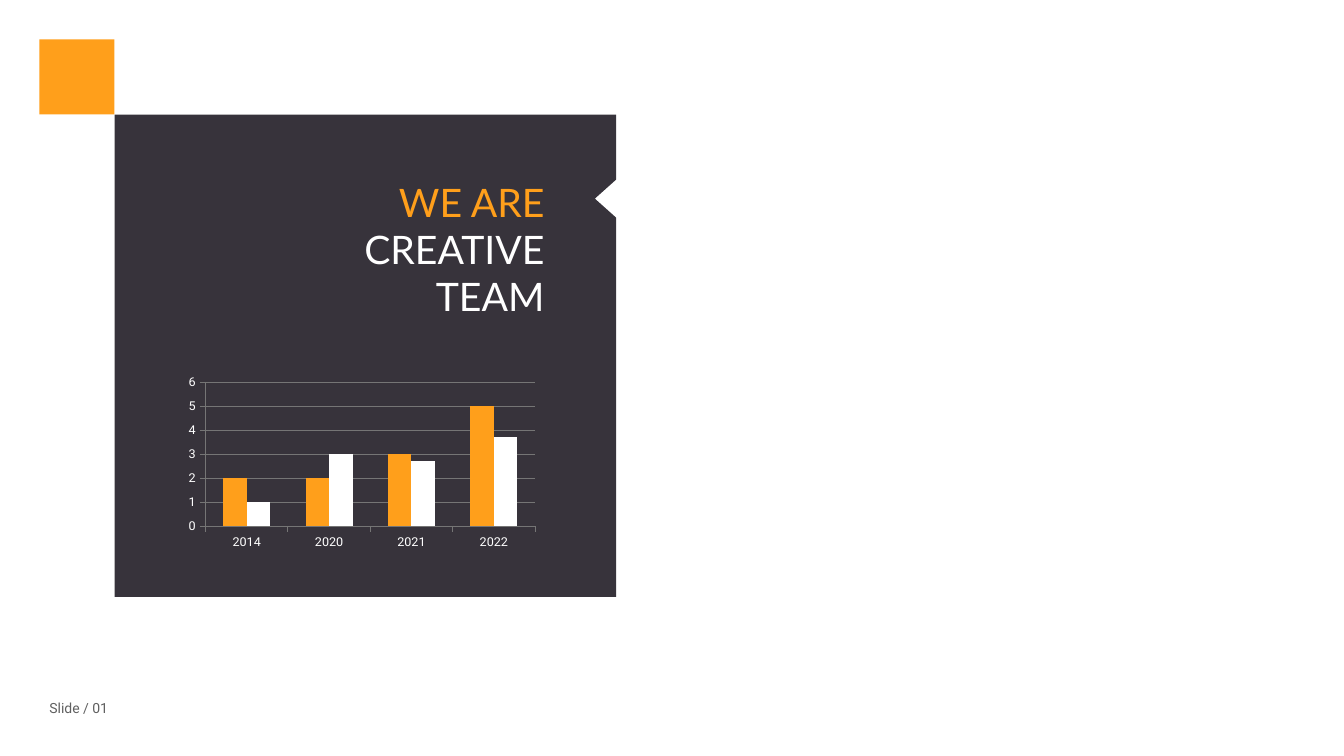
from lxml import etree
from pptx import Presentation
from pptx import util as u
from pptx.chart import data as chart_data
from pptx.dml import color
from pptx.enum import chart as charts, shapes, text

ORANGE, DARK, WHITE = "FF9F1B", "37333B", "FFFFFF"
GRID, GREY = "757575", "606060"
PLOT = {"x": 0.049, "y": 0.062, "w": 0.934, "h": 0.831}


def tint(value):
    return color.RGBColor.from_string(value)


def assign(target, formats):
    for name, value in formats.items():
        setattr(target, name, value)


def style_font(font, name, size, hue):
    assign(font, {"name": name, "size": u.Pt(size), "bold": False})
    font.color.rgb = tint(hue)


def style_line(line, hue):
    line.width = u.Pt(0.75)
    line.color.rgb = tint(hue)


def paint(shape, hue):
    shape.shadow.inherit = False
    shape.fill.solid()
    shape.fill.fore_color.rgb = tint(hue)
    shape.line.fill.background()


def place(shape, box):
    for name, value in zip(("left", "top", "width", "height"), box):
        setattr(shape, name, u.Pt(value))


def write_lines(box, lines, font, size, align):
    assign(box.text_frame, {
        "word_wrap": True,
        "auto_size": text.MSO_AUTO_SIZE.NONE,
        "vertical_anchor": text.MSO_ANCHOR.TOP,
        "margin_left": u.Pt(7.2), "margin_right": u.Pt(7.2),
        "margin_top": u.Pt(3.6), "margin_bottom": u.Pt(3.6),
    })
    for index, (words, hue) in enumerate(lines):
        para = box.text_frame.add_paragraph() if index else box.text_frame.paragraphs[0]
        para.alignment = align
        span = para.add_run()
        span.text = words
        style_font(span.font, font, size, hue)


def add_badge(page, left, top, side):
    badge = page.shapes.add_shape(
        shapes.MSO_SHAPE.RECTANGLE, *map(u.Pt, (left, top, side, side)))
    paint(badge, ORANGE)


def add_panel(page, left, top, width, height):
    right, bottom = left + width, top + height
    notch_top, notch_half, notch_depth = top + 46.4, 13.6, 15.2
    corners = [
        (right, top), (right, notch_top),
        (right - notch_depth, notch_top + notch_half),
        (right, notch_top + 2 * notch_half),
        (right, bottom), (left, bottom),
    ]
    outline = page.shapes.build_freeform(u.Pt(left), u.Pt(top))
    outline.add_line_segments([(u.Pt(x), u.Pt(y)) for x, y in corners], close=True)
    paint(outline.convert_to_shape(), DARK)
    add_heading(page, (left + 159.4, top + 41.8, 154.8, 108.7))
    add_columns(page, (left + 52.6, top + 183.6, 252, 127.4))


def add_heading(page, box):
    place(page.shapes.title, box)
    lines = [("WE ARE", ORANGE), ("CREATIVE", WHITE), ("TEAM", WHITE)]
    write_lines(page.shapes.title, lines, "Lato", 28, text.PP_ALIGN.RIGHT)


def add_columns(page, box):
    figures = chart_data.CategoryChartData()
    figures.categories = ["2014", "2020", "2021", "2022"]
    figures.add_series("Series 1", (2, 2, 3, 5))
    figures.add_series("Series 2", (1, 3, 2.7, 3.7))
    chart = page.shapes.add_chart(
        charts.XL_CHART_TYPE.COLUMN_CLUSTERED, *map(u.Pt, box), figures).chart
    assign(chart, {"has_legend": False, "has_title": False})
    style_font(chart.font, "Roboto", 9, WHITE)
    plot = chart.plots[0]
    assign(plot, {"gap_width": 150, "overlap": 0, "vary_by_categories": False})
    for series, hue in zip(plot.series, (ORANGE, WHITE)):
        series.format.fill.solid()
        series.format.fill.fore_color.rgb = tint(hue)
    for axis in (chart.category_axis, chart.value_axis):
        axis.major_tick_mark = charts.XL_TICK_MARK.OUTSIDE
        style_font(axis.tick_labels.font, "Roboto", 9, WHITE)
        style_line(axis.format.line, GRID)
    assign(chart.value_axis, {
        "minimum_scale": 0, "maximum_scale": 6, "major_unit": 1,
        "has_major_gridlines": True,
    })
    style_line(chart.value_axis.major_gridlines.format.line, GRID)
    fix_plot_area(chart)


def fix_plot_area(chart):
    area = chart.plots[0]._element.getparent()
    namespace = "{" + area.nsmap["c"] + "}"
    for layout in area.findall(namespace + "layout"):
        area.remove(layout)
    layout = etree.Element(namespace + "layout")
    manual = etree.SubElement(layout, namespace + "manualLayout")
    settings = {"layoutTarget": "inner", "xMode": "edge", "yMode": "edge", **PLOT}
    for name, value in settings.items():
        etree.SubElement(manual, namespace + name, val=str(value))
    area.insert(0, layout)


def add_page_number(page, box):
    label = page.shapes.add_textbox(*map(u.Pt, box))
    write_lines(label, [("Slide / 01", GREY)], "Roboto", 10, text.PP_ALIGN.LEFT)


def main():
    deck = Presentation()
    assign(deck, {"slide_width": u.Pt(960), "slide_height": u.Pt(540)})
    page = deck.slides.add_slide(deck.slide_layouts.get_by_name("Title Only"))
    add_badge(page, 28.2, 28.2, 53.5)
    add_panel(page, 81.9, 81.9, 358.2, 344.5)
    title = page.shapes.title._element
    title.getparent().insert_element_before(title, "p:graphicFrame")
    add_page_number(page, (28.2, 496.2, 62, 19.4))
    deck.save("out.pptx")


if __name__ == "__main__":
    main()
